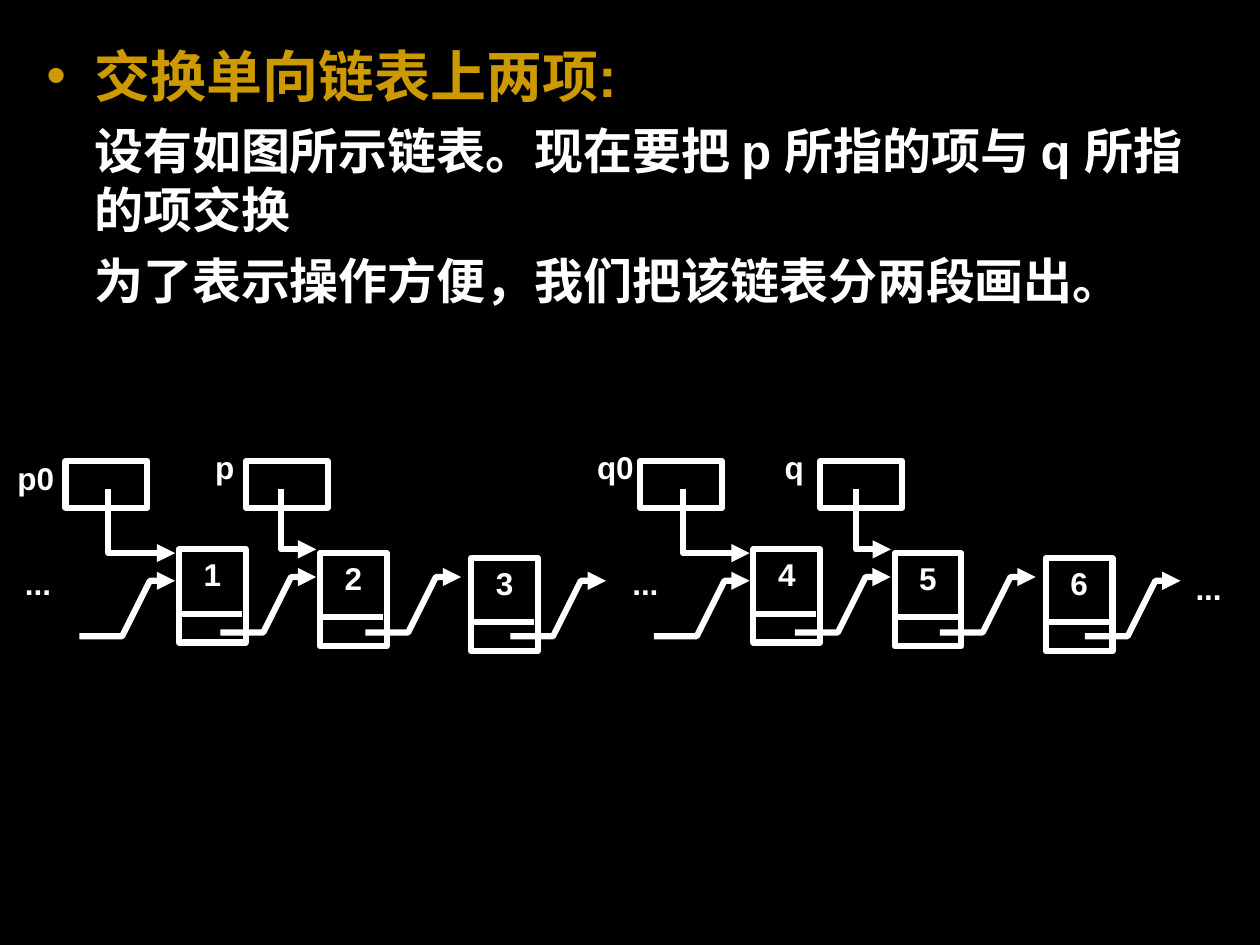
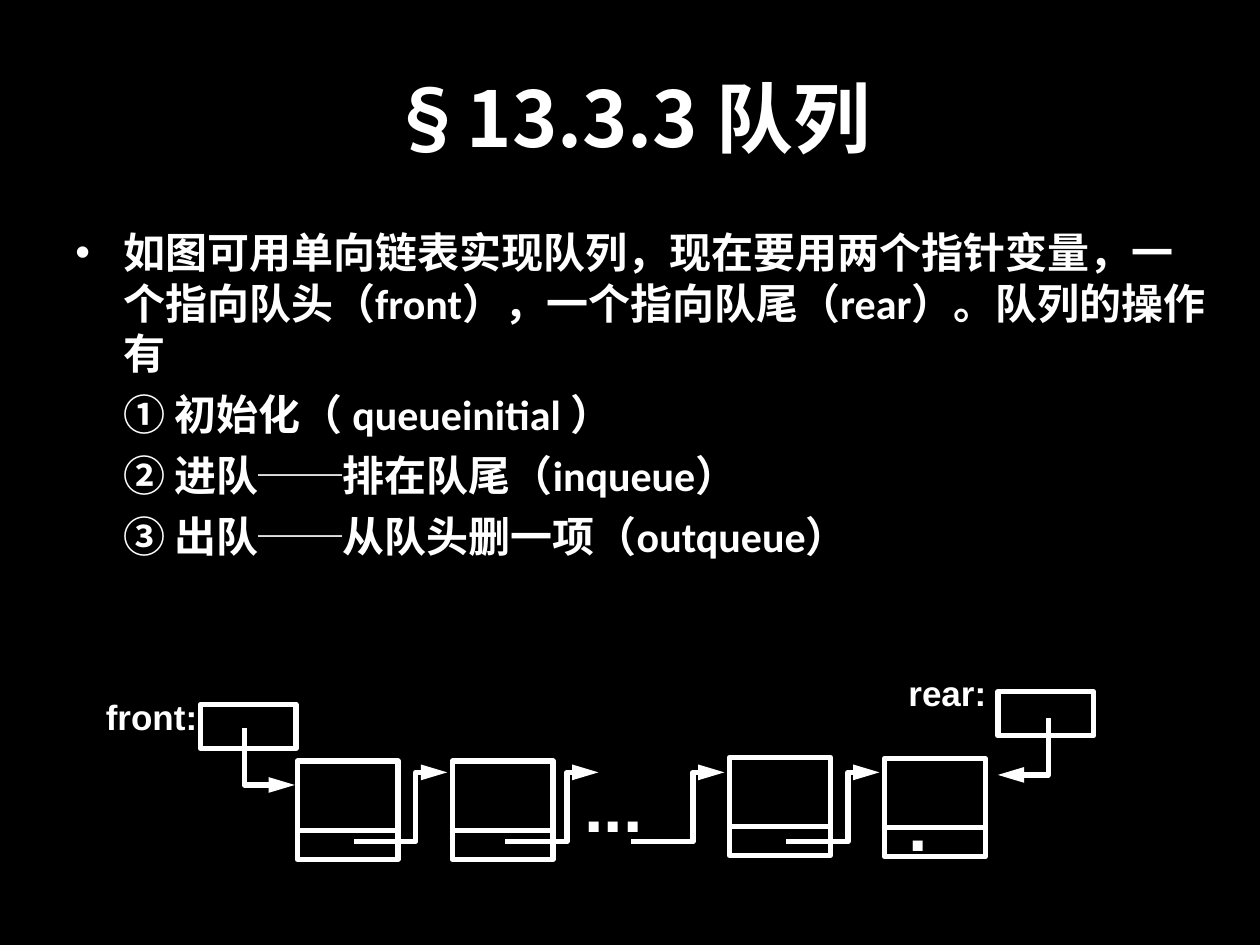
from lxml import etree
from pptx import Presentation
from pptx import util as u
from pptx.dml.color import RGBColor
from pptx.enum import shapes, text
from pptx.oxml.ns import qn

COLORS = {"back": "000000", "ink": "FFFFFF", "gold": "CC9900"}
HANG = 0.38
INSETS = (0.1, 0.05)
TIGHT = (0.01, 0.01)

SWAP_TEXT = [
    ("交换单向链表上两项:", 32, "gold", True),
    ("设有如图所示链表。现在要把 p 所指的项与 q 所指的项交换", 28, "ink", False),
    ("为了表示操作方便，我们把该链表分两段画出。", 28, "ink", False),
]
SEGMENTS = [
    (0, "123", [("p0", 0.04, 3.59), ("p", 1.61, 3.51), ("...", 0.1, 4.43)]),
    (4.56, "456", [("q0", 4.64, 3.51), ("q", 6.13, 3.51), ("...", 4.92, 4.43), ("...", 9.39, 4.47)]),
]
SWAP = {
    "weight": 3.5,
    "cell": (0.65, 0.37),
    "cells": [(0.52, 3.66), (1.95, 3.66)],
    "node": (0.53, 0.74),
    "nodes": [(1.42, 4.36), (2.54, 4.39), (3.74, 4.43)],
    "divider": (0.5, 0.51),
    "hooks": [[(0.86, 3.88), (0.86, 4.39), (1.39, 4.39)],
              [(2.23, 3.88), (2.23, 4.36), (2.51, 4.36)]],
    "link": [(0, 0.44), (0.34, 0.44), (0.56, 0), (0.76, 0)],
    "links": [(0.63, 4.61), (1.75, 4.58), (2.9, 4.58), (4.05, 4.61)],
    "head": "med",
}

QUEUE_TITLE = [("§13.3.3 ", "Noto Sans CJK SC"), ("队列", "Calibri")]
QUEUE_TEXT = [
    ("如图可用单向链表实现队列，现在要用两个指针变量，一个指向队头（front），一个指向队尾（rear）。队列的操作有", 24, "ink", True),
    ("① 初始化（ queueinitial ）", 24, "ink", False),
    ("② 进队──排在队尾（inqueue）", 24, "ink", False),
    ("③ 出队──从队头删一项（outqueue）", 24, "ink", False),
]
QUEUE_LABELS = [
    ("rear:", (7.2, 5.32, 0.8, 0.43), 20, TIGHT),
    ("front:", (0.83, 5.51, 0.8, 0.37), 20, TIGHT),
    ("...", (4.63, 6.04, 1, 0.63), 40, TIGHT),
    (".", (7.11, 6.15, 0.7, 0.99), 40, INSETS),
]
QUEUE = {
    "weight": 3,
    "cell": (0.76, 0.35),
    "cells": [(1.59, 5.59), (7.92, 5.49)],
    "node": (0.8, 0.78),
    "nodes": [(2.36, 6.04), (3.59, 6.04), (5.79, 6.01), (7.02, 6.02)],
    "divider": (0.78, 0.55),
    "hooks": [[(1.94, 5.78), (1.94, 6.23), (2.34, 6.23)],
              [(8.32, 5.7), (8.32, 6.15), (7.92, 6.15)]],
    "link": [(0, 0.55), (0.49, 0.55), (0.49, 0), (0.74, 0)],
    "links": [(2.81, 6.13), (4.01, 6.13), (5.01, 6.13), (6.24, 6.13)],
    "head": "lg",
}


def inches(values):
    return [u.Inches(value) for value in values]


def style(font, size, name, color="ink"):
    font.size, font.name, font.bold = u.Pt(size), name, True
    font.color.rgb = RGBColor.from_string(COLORS[color])


def draw_line(shape, weight):
    shape.line.width = u.Pt(weight)
    shape.line.color.rgb = RGBColor.from_string(COLORS["ink"])


def set_insets(frame, insets):
    frame.margin_left = frame.margin_right = u.Inches(insets[0])
    frame.margin_top = frame.margin_bottom = u.Inches(insets[1])


def add_label(page, words, place, size, insets=INSETS):
    frame = page.shapes.add_textbox(*inches(place)).text_frame
    frame.word_wrap = True
    set_insets(frame, insets)
    frame.text = words
    style(frame.paragraphs[0].runs[0].font, size, "Arial")


def add_body(page, place, lines, name, gap):
    frame = page.shapes.add_textbox(*inches(place)).text_frame
    frame.word_wrap = True
    for index, (words, size, color, bulleted) in enumerate(lines):
        para = frame.paragraphs[0] if index == 0 else frame.add_paragraph()
        para.text = words
        if index:
            para.space_before = u.Pt(gap)
        props = para._p.get_or_add_pPr()
        props.set("marL", str(u.Inches(HANG)))
        props.set("indent", str(-u.Inches(HANG) if bulleted else 0))
        if bulleted:
            etree.SubElement(props, qn("a:buFont"), typeface="Arial")
            etree.SubElement(props, qn("a:buChar"), char="•")
        else:
            etree.SubElement(props, qn("a:buNone"))
        style(para.runs[0].font, size, name, color)


def add_box(page, corner, size, weight, words=""):
    box = page.shapes.add_shape(shapes.MSO_SHAPE.RECTANGLE, *inches(corner + size))
    box.shadow.inherit = False
    box.fill.background()
    draw_line(box, weight)
    if words:
        frame = box.text_frame
        frame.vertical_anchor = text.MSO_ANCHOR.TOP
        set_insets(frame, INSETS)
        frame.text = words
        frame.paragraphs[0].alignment = text.PP_ALIGN.CENTER
        style(frame.paragraphs[0].runs[0].font, 18, "Arial")


def add_arrow(page, points, weight, length):
    start, *rest = [inches(point) for point in points]
    builder = page.shapes.build_freeform(*start)
    builder.add_line_segments(rest, close=False)
    arrow = builder.convert_to_shape()
    arrow.shadow.inherit = False
    arrow.fill.background()
    draw_line(arrow, weight)
    etree.SubElement(arrow.line._get_or_add_ln(), qn("a:tailEnd"), type="triangle", w="med", len=length)


def add_divider(page, node, divider, weight):
    left, top = node[0], node[1] + divider[1]
    line = page.shapes.add_connector(
        shapes.MSO_CONNECTOR.STRAIGHT, *inches((left, top, left + divider[0], top)))
    draw_line(line, weight)
    etree.SubElement(line._element.spPr, qn("a:effectLst"))


def draw_list(page, plan, shift=0, names=()):
    def moved(point, origin=(0, 0)):
        return point[0] + origin[0] + shift, point[1] + origin[1]

    weight = plan["weight"]
    for cell in plan["cells"]:
        add_box(page, moved(cell), plan["cell"], weight)
    for index, node in enumerate(plan["nodes"]):
        add_box(page, moved(node), plan["node"], weight, names[index] if names else "")
        add_divider(page, moved(node), plan["divider"], weight)
    for hook in plan["hooks"]:
        add_arrow(page, [moved(point) for point in hook], weight, plan["head"])
    for origin in plan["links"]:
        add_arrow(page, [moved(point, origin) for point in plan["link"]], weight, plan["head"])


def build_swap(deck):
    page = deck.slides.add_slide(deck.slide_layouts[6])
    add_body(page, (0.27, 0.28, 9.5, 2.4), SWAP_TEXT, "Arial", 7)
    for shift, names, labels in SEGMENTS:
        draw_list(page, SWAP, shift, names)
        for words, left, top in labels:
            add_label(page, words, (left, top, 0.6, 0.55), 18)


def build_queue(deck):
    page = deck.slides.add_slide(deck.slide_layouts[5])
    title = page.shapes.title
    title.left, title.top, title.width, title.height = inches((0.5, 0.3, 9, 1.25))
    para = title.text_frame.paragraphs[0]
    para.alignment = text.PP_ALIGN.CENTER
    title.text_frame.vertical_anchor = text.MSO_ANCHOR.MIDDLE
    for words, name in QUEUE_TITLE:
        span = para.add_run()
        span.text = words
        style(span.font, 44, name)
    add_body(page, (0.5, 1.75, 9.23, 3.57), QUEUE_TEXT, "Calibri", 6)
    draw_list(page, QUEUE)
    for label in QUEUE_LABELS:
        add_label(page, *label)


def main():
    deck = Presentation()
    deck.slide_width, deck.slide_height = inches((10, 7.5))
    fill = deck.slide_master.background.fill
    fill.solid()
    fill.fore_color.rgb = RGBColor.from_string(COLORS["back"])
    build_swap(deck)
    build_queue(deck)
    deck.save("out.pptx")


if __name__ == "__main__":
    main()
